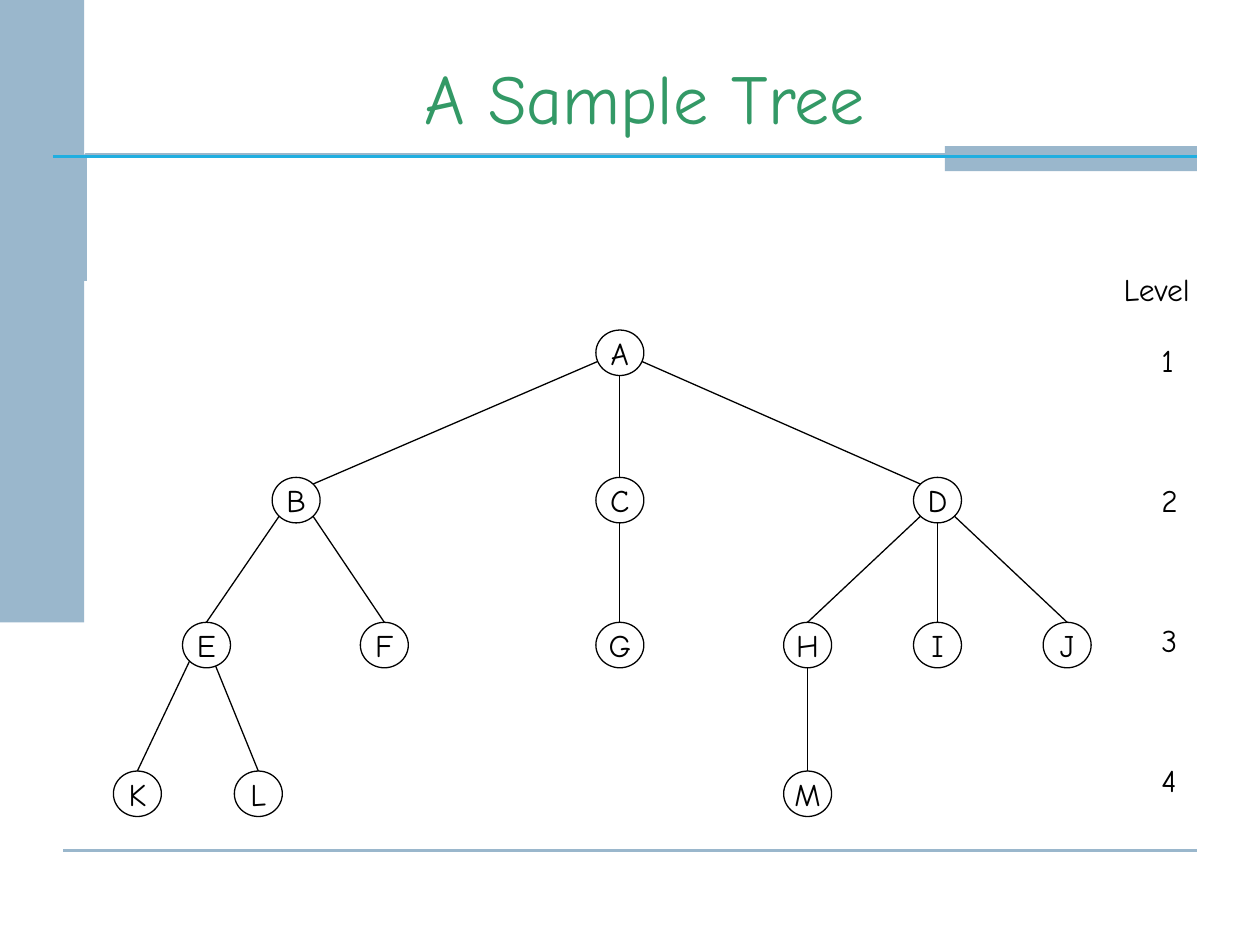
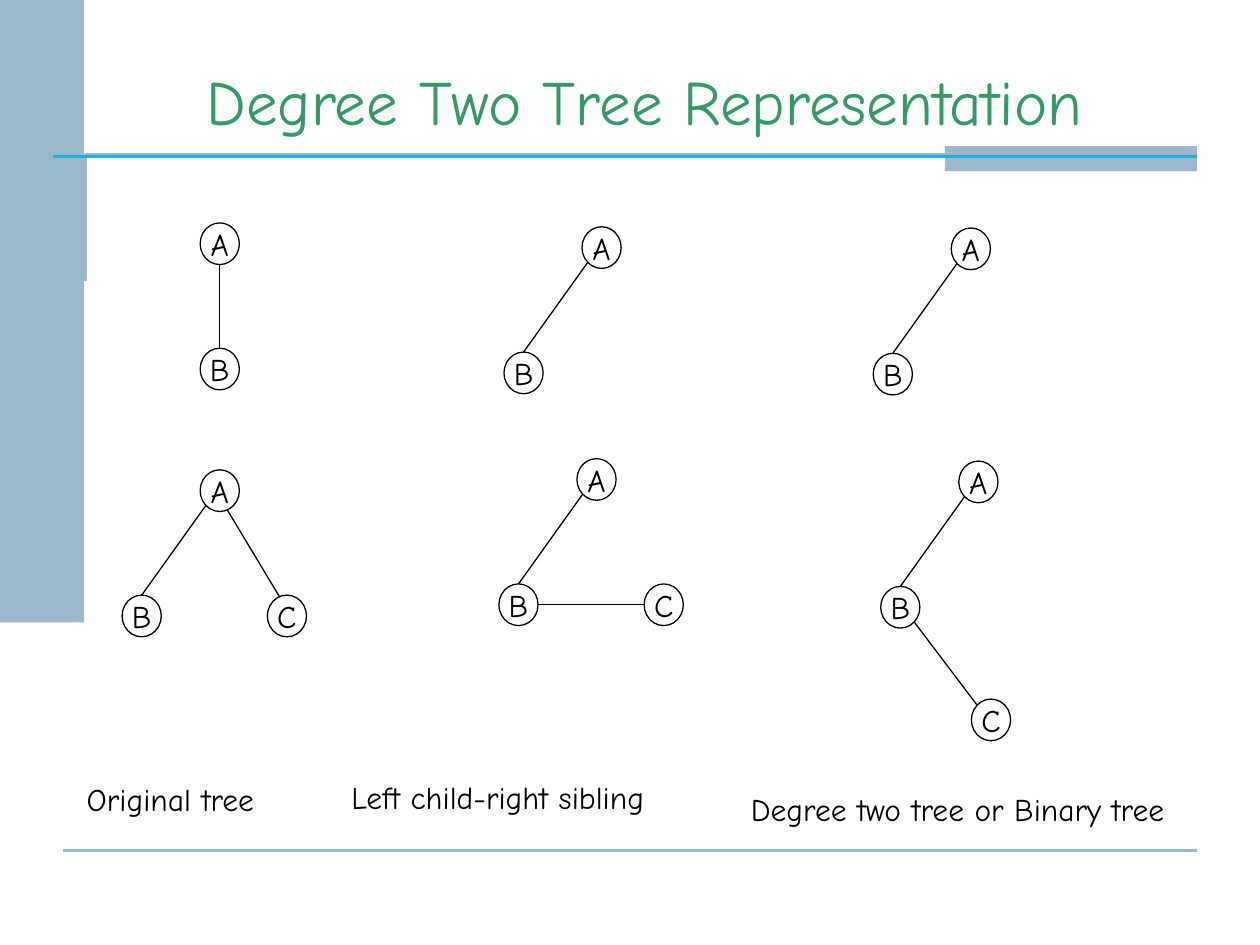
import math

import lxml.etree
import pptx
import pptx.dml.color
import pptx.enum.shapes
import pptx.enum.text
import pptx.oxml.ns
import pptx.util

FONT = "Comic Neue"
BLACK, GREEN, STEEL, SKY = "000000", "339966", "9AB7CC", "20AEE0"
TITLE_BOX = (54, 27.4, 628.6, 55.4)
LABEL_HEIGHT = 28.8

BANDS = [(0, 0, 48.2, 355.7), (540, 83.5, 180 - 36, 14.4)]
CORNER_RULE = [(49, 160.6), (49, 88.6), (673.2, 88.6)]
RULES = [((36, 486), (684, 486), STEEL), ((30.2, 89.3), (684, 89.3), SKY)]

COMPASS = ["n", "nne", "ne", "ene", "e", "ese", "se", "sse",
           "s", "ssw", "sw", "wsw", "w", "wnw", "nw", "nnw"]

LEVEL_CENTERS = [201.6, 285.8, 368.6, 453.6]
LEVEL_NODES = [
    {"A": 354.2},
    {"B": 169.2, "C": 354.2, "D": 535.7},
    {"E": 118, "F": 219.6, "G": 354.2, "H": 461.5, "I": 535.7, "J": 609.8},
    {"K": 78.5, "L": 147.6, "M": 461.5},
]
SAMPLE_EDGES = [
    ("A", "B", "wsw", "ne"), ("A", "C", "s", "n"), ("A", "D", "ese", "nw"),
    ("B", "E", "sw", "n"), ("B", "F", "se", "n"),
    ("E", "K", "sw", "n"), ("E", "L", "sse", "n"),
    ("H", "M", "s", "n"), ("C", "G", "s", "n"),
    ("D", "H", "sw", "n"), ("D", "I", "s", "n"), ("D", "J", "se", "n"),
]
LEVEL_LABELS = [("Level", 635, 150.5, 62)] + [
    (str(level + 1), 656.6, 191.5 + 80 * level, 31) for level in range(4)
]

DOWN, DOWN_LEFT, DOWN_RIGHT = (0, 71.6), (-44.6, 71.6), (38.4, 71.6)
LEFT_CHILD = ("A", "B", "sw", "n")
SMALL_TREES = [
    ((125.6, 139.3), {"B": DOWN}, [("A", "B", "s", "n")]),
    ((125.6, 280.4), {"B": DOWN_LEFT, "C": DOWN_RIGHT},
     [LEFT_CHILD, ("A", "C", "sse", "nnw")]),
    ((343.8, 141.5), {"B": DOWN_LEFT}, [LEFT_CHILD]),
    ((554.8, 142.2), {"B": DOWN_LEFT}, [LEFT_CHILD]),
    ((340.9, 274), {"B": DOWN_LEFT, "C": DOWN_RIGHT},
     [LEFT_CHILD, ("B", "C", "e", "w")]),
    ((559.1, 275.4), {"B": DOWN_LEFT, "C": (7.2, 136)},
     [LEFT_CHILD, ("B", "C", "se", "nw")]),
]
TREE_CAPTIONS = [
    ("Original tree", 42.5, 442, 133),
    ("Left child-right sibling", 193.7, 440.8, 233),
    ("Degree two tree or Binary tree", 422, 448, 291),
]


def color(code):
    return pptx.dml.color.RGBColor.from_string(code)


def points(values):
    return [pptx.util.Pt(value) for value in values]


def set_all(target, values):
    for name, value in values.items():
        setattr(target, name, value)


def write(shape, text, size, code, align, frame_format):
    set_all(shape.text_frame, frame_format)
    paragraph = shape.text_frame.paragraphs[0]
    paragraph.text = text
    paragraph.alignment = align
    set_all(paragraph.font, {"name": FONT, "size": pptx.util.Pt(size)})
    paragraph.font.color.rgb = color(code)


def set_line(shape, code, width):
    shape.line.color.rgb = color(code)
    shape.line.width = pptx.util.Pt(width)


def add_line(slide, start, end, code, width):
    connector = slide.shapes.add_connector(
        pptx.enum.shapes.MSO_CONNECTOR.STRAIGHT, *points(start + end))
    set_line(connector, code, width)
    lxml.etree.SubElement(connector.element.spPr, pptx.oxml.ns.qn("a:effectLst"))
    return connector


def add_decoration(slide, layout):
    corner, *others = points(CORNER_RULE[0]), *map(points, CORNER_RULE[1:])
    builder = slide.shapes.build_freeform(*corner)
    builder.add_line_segments(others, close=False)
    outline = builder.convert_to_shape()
    outline.fill.background()
    outline.shadow.inherit = False
    set_line(outline, STEEL, 2)
    parts = [outline]
    for box in BANDS:
        band = slide.shapes.add_shape(
            pptx.enum.shapes.MSO_SHAPE.RECTANGLE, *points(box))
        band.fill.solid()
        band.fill.fore_color.rgb = color(STEEL)
        band.line.fill.background()
        band.shadow.inherit = False
        parts.append(band)
    parts += [add_line(slide, start, end, code, 1.5) for start, end, code in RULES]
    for index, part in enumerate(parts):
        part.element.xpath("./*/p:cNvPr")[0].set("id", str(101 + index))
        layout.shapes.element.insert(2 + index, part.element)


def add_title(slide, text, size):
    title = slide.shapes.title
    set_all(title, dict(zip(("left", "top", "width", "height"), points(TITLE_BOX))))
    write(title, text, size, GREEN, pptx.enum.text.PP_ALIGN.CENTER, {
        "vertical_anchor": pptx.enum.text.MSO_ANCHOR.BOTTOM,
        "auto_size": pptx.enum.text.MSO_AUTO_SIZE.NONE,
        "word_wrap": True,
    })


def rim_point(center, node_size, direction):
    angle = COMPASS.index(direction) * math.tau / len(COMPASS)
    return (center[0] + node_size[0] / 2 * math.sin(angle),
            center[1] - node_size[1] / 2 * math.cos(angle))


def add_tree(slide, centers, edges, node_size):
    width, height = node_size
    for letter, (x, y) in centers.items():
        node = slide.shapes.add_shape(
            pptx.enum.shapes.MSO_SHAPE.OVAL,
            *points((x - width / 2, y - height / 2, width, height)))
        node.fill.background()
        node.shadow.inherit = False
        set_line(node, BLACK, 0.75)
        write(node, letter, 18, BLACK, pptx.enum.text.PP_ALIGN.CENTER, {
            "vertical_anchor": pptx.enum.text.MSO_ANCHOR.MIDDLE,
            "word_wrap": False,
            "margin_left": 0, "margin_right": 0,
            "margin_top": 0, "margin_bottom": 0,
        })
    for parent, child, leaving, entering in edges:
        add_line(slide, rim_point(centers[parent], node_size, leaving),
                 rim_point(centers[child], node_size, entering), BLACK, 0.75)


def add_labels(slide, labels):
    for text, left, top, width in labels:
        box = slide.shapes.add_textbox(*points((left, top, width, LABEL_HEIGHT)))
        write(box, text, 18, BLACK, pptx.enum.text.PP_ALIGN.LEFT, {"word_wrap": True})


def main():
    presentation = pptx.Presentation()
    presentation.slide_width, presentation.slide_height = points((720, 540))
    layout = presentation.slide_layouts[5]

    sample = presentation.slides.add_slide(layout)
    add_decoration(sample, layout)
    add_title(sample, "A Sample Tree", 40)
    centers = {letter: (x, y) for y, row in zip(LEVEL_CENTERS, LEVEL_NODES)
               for letter, x in row.items()}
    add_tree(sample, centers, SAMPLE_EDGES, (27.4, 26))
    add_labels(sample, LEVEL_LABELS)

    degree_two = presentation.slides.add_slide(layout)
    add_title(degree_two, "Degree Two Tree Representation", 36)
    for root, offsets, edges in SMALL_TREES:
        centers = {"A": root}
        for letter, (across, down) in offsets.items():
            centers[letter] = (root[0] + across, root[1] + down)
        add_tree(degree_two, centers, edges, (22.4, 23.8))
    add_labels(degree_two, TREE_CAPTIONS)

    presentation.save("out.pptx")


if __name__ == "__main__":
    main()
